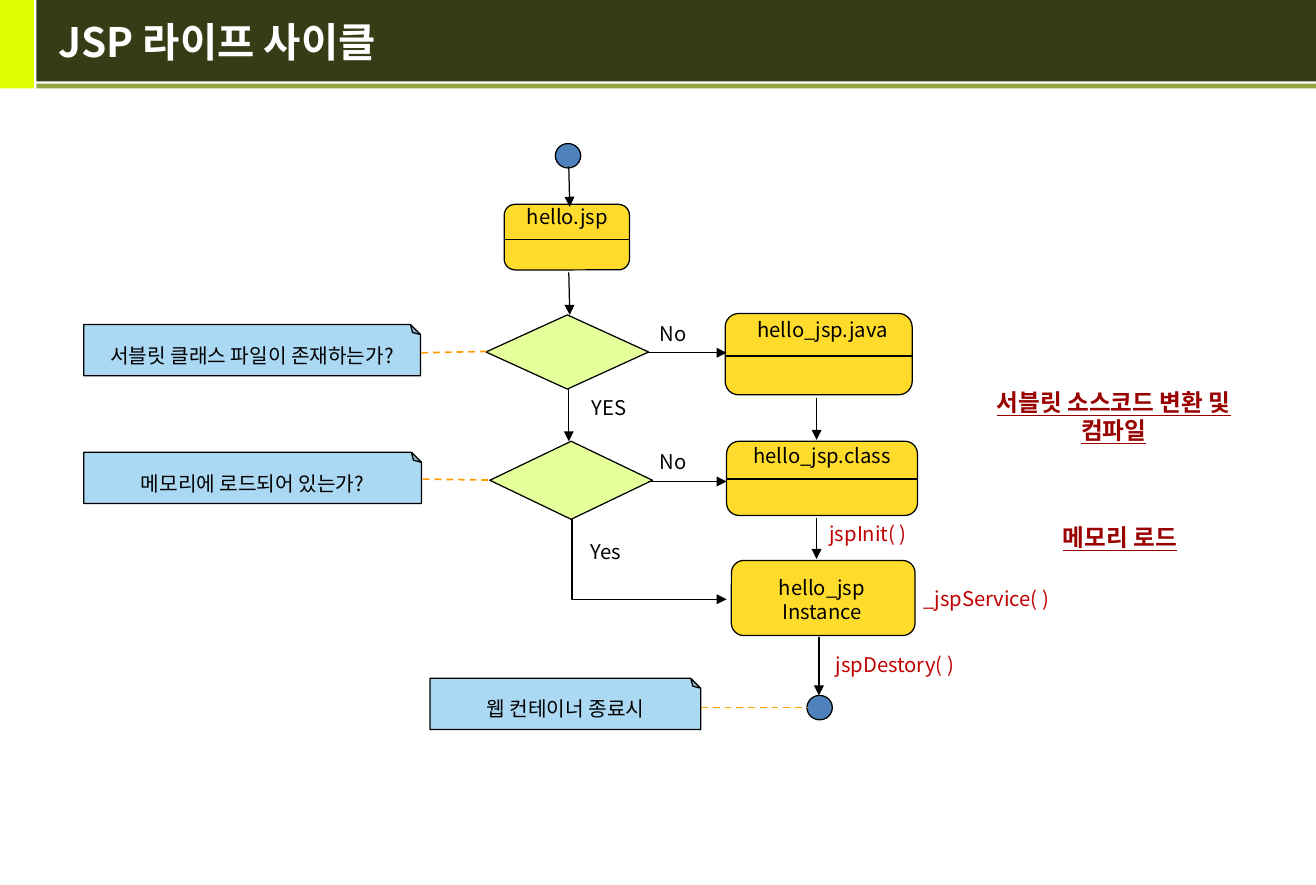
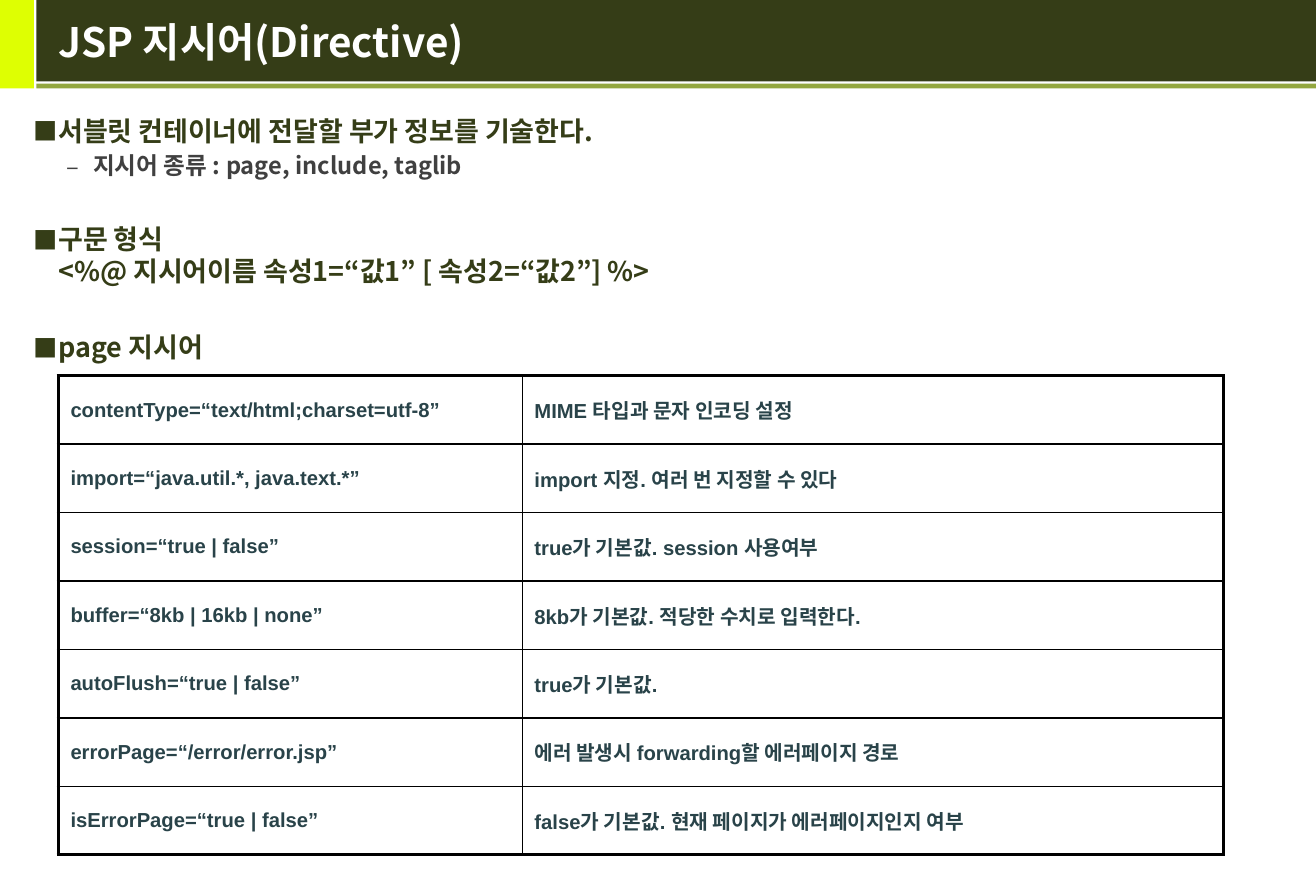
from lxml.etree import SubElement
from pptx import Presentation
from pptx.dml.color import RGBColor
from pptx.enum.dml import MSO_LINE
from pptx.enum.shapes import MSO_CONNECTOR, MSO_SHAPE
from pptx.enum.text import MSO_ANCHOR, PP_ALIGN
from pptx.oxml.ns import qn
from pptx.util import Cm, Pt

SLIDE_WIDTH, SLIDE_HEIGHT = 27.51, 18.49
FONT = "Noto Sans CJK KR"
COLORS = {
    "lime": "DEFF02", "olive": "353D17", "moss": "93A73F", "white": "FFFFFF",
    "black": "000000", "blue": "4F81BD", "sky": "ABD8F3", "green": "E5FF9B",
    "yellow": "FFDC2B", "orange": "FF9900", "red": "C00000",
    "crimson": "990000", "gray": "404040", "slate": "294349",
}
TEXT_STYLES = {
    "title": ("white", {"name": FONT, "size": Pt(24), "bold": True}),
    "label": ("black", {"name": FONT, "size": Pt(12), "bold": False}),
    "method": ("red", {"name": FONT, "size": Pt(12), "bold": False}),
    "phase": ("crimson", {"name": FONT, "size": Pt(14), "bold": True,
                          "underline": True}),
    "heading": ("olive", {"name": FONT, "size": Pt(16), "bold": True}),
    "detail": ("gray", {"name": FONT, "size": Pt(14), "bold": True}),
    "cell": ("slate", {"name": "Arial", "size": Pt(12), "bold": True}),
}
BULLETS = {
    "heading": {"char": "■", "percent": 90, "margin": 0.51, "indent": -0.51},
    "detail": {"char": "–", "percent": 100, "margin": 1.24, "indent": -0.56},
}
BODY_PARAGRAPHS = [
    ("heading", 0, "서블릿 컨테이너에 전달할 부가 정보를 기술한다."),
    ("detail", 2.8, "지시어 종류 : page, include, taglib"),
    ("heading", 25.4,
     "구문 형식\v<%@ 지시어이름 속성1=“값1” [ 속성2=“값2”] %>"),
    ("heading", 25.4, "page 지시어"),
]
PAGE_ATTRIBUTES = [
    ("contentType=“text/html;charset=utf-8”", "MIME 타입과 문자 인코딩 설정"),
    ("import=“java.util.*, java.text.*”", "import 지정. 여러 번 지정할 수 있다"),
    ("session=“true | false”", "true가 기본값. session 사용여부"),
    ("buffer=“8kb | 16kb | none”", "8kb가 기본값. 적당한 수치로 입력한다."),
    ("autoFlush=“true | false”", "true가 기본값."),
    ("errorPage=“/error/error.jsp”", "에러 발생시 forwarding할 에러페이지 경로"),
    ("isErrorPage=“true | false”",
     "false가 기본값. 현재 페이지가 에러페이지인지 여부"),
]


def color(name):
    """Return the named colour."""
    return RGBColor.from_string(COLORS[name])


def set_attributes(target, values):
    """Set every attribute in a dict of format values."""
    for name, value in values.items():
        setattr(target, name, value)


def write(paragraph, text, style, align=PP_ALIGN.LEFT):
    """Write styled text into a paragraph."""
    color_name, values = TEXT_STYLES[style]
    paragraph.text = text
    paragraph.alignment = align
    for run in paragraph.runs:
        set_attributes(run.font, values)
        run.font.color.rgb = color(color_name)
        SubElement(run.font._element, qn("a:ea"), typeface=FONT)


def add_box(slide, kind, left, top, width, height, fill, outlined=True):
    """Add a filled preset shape."""
    shape = slide.shapes.add_shape(kind, Cm(left), Cm(top), Cm(width), Cm(height))
    shape.shadow.inherit = False
    shape.fill.solid()
    shape.fill.fore_color.rgb = color(fill)
    if outlined:
        shape.line.color.rgb = color("black")
        shape.line.width = Pt(0.75)
    else:
        shape.line.fill.background()
    return shape


def add_text(slide, text, left, top, width, height=0.76, style="label",
             align=PP_ALIGN.LEFT, anchor=MSO_ANCHOR.TOP):
    """Add a wrapping text box with one paragraph."""
    frame = slide.shapes.add_textbox(
        Cm(left), Cm(top), Cm(width), Cm(height)).text_frame
    set_attributes(frame, {"word_wrap": True, "vertical_anchor": anchor})
    write(frame.paragraphs[0], text, style, align)


def add_note(slide, text, left, top, width):
    """Add a sticky note whose folded corner is at the top right."""
    note = add_box(slide, MSO_SHAPE.FOLDED_CORNER, left, top, width, 1.07, "sky")
    properties = note._element.spPr
    guides = properties.find(qn("a:prstGeom")).get_or_add_avLst()
    for guide in list(guides):
        guides.remove(guide)
    SubElement(guides, qn("a:gd"), name="adj", fmla="val 19400")
    note.rotation = 180
    properties.xfrm.set("flipH", "1")
    frame = note.text_frame
    set_attributes(frame, {"word_wrap": False, "vertical_anchor": MSO_ANCHOR.MIDDLE})
    frame._txBody.bodyPr.set("rot", "10800000")
    write(frame.paragraphs[0], text, "label", PP_ALIGN.CENTER)


def add_line(slide, start, end, line_color="black", width=0.75, arrow=False,
             dashed=False, kind=MSO_CONNECTOR.STRAIGHT):
    """Add a connector, with an arrowhead or dashes if asked."""
    points = [Cm(value) for value in (*start, *end)]
    connector = slide.shapes.add_connector(kind, *points)
    connector.line.color.rgb = color(line_color)
    connector.line.width = Pt(width)
    if dashed:
        connector.line.dash_style = MSO_LINE.DASH
    if arrow:
        SubElement(connector.line._get_or_add_ln(), qn("a:tailEnd"), type="triangle")
    SubElement(connector._element.spPr, qn("a:effectLst"))
    return connector


def add_down_right_arrow(slide, start, end):
    """Add a one-bend arrow that runs down and then right."""
    center_x, center_y = (start[0] + end[0]) / 2, (start[1] + end[1]) / 2
    half_width, half_height = (end[0] - start[0]) / 2, (end[1] - start[1]) / 2
    connector = add_line(
        slide, (center_x + half_height, center_y - half_width),
        (center_x - half_height, center_y + half_width),
        arrow=True, kind=MSO_CONNECTOR.ELBOW)
    properties = connector._element.spPr
    properties.find(qn("a:xfrm")).set("rot", "16200000")
    properties.find(qn("a:prstGeom")).set("prst", "bentConnector2")


def add_state(slide, left, top, width, height, divider=None):
    """Add a rounded state box, with a divider line at a given height."""
    add_box(slide, MSO_SHAPE.ROUNDED_RECTANGLE, left, top, width, height, "yellow")
    if divider:
        add_line(slide, (left, divider), (left + width, divider))


def add_titled_slide(presentation, title):
    """Add a blank slide with the shared bands and title."""
    slide = presentation.slides.add_slide(presentation.slide_layouts[6])
    for left, top, width, height, fill in [
        (0, 0, 0.71, 1.85, "lime"),
        (0.76, 0, SLIDE_WIDTH - 0.76, 1.7, "olive"),
        (0.76, 1.75, SLIDE_WIDTH - 0.76, 0.1, "moss"),
    ]:
        add_box(slide, MSO_SHAPE.RECTANGLE, left, top, width, height, fill, False)
    add_text(slide, title, 0.97, 0, 26.21, 1.73, "title", anchor=MSO_ANCHOR.MIDDLE)
    return slide


def add_bullet(paragraph, style):
    """Give a paragraph the bullet and hanging indent of its style."""
    bullet = BULLETS[style]
    properties = paragraph._p.get_or_add_pPr()
    properties.set("marL", str(Cm(bullet["margin"])))
    properties.set("indent", str(Cm(bullet["indent"])))
    bullet_color = SubElement(properties, qn("a:buClr"))
    SubElement(bullet_color, qn("a:srgbClr"), val=COLORS[TEXT_STYLES[style][0]])
    SubElement(properties, qn("a:buSzPct"), val=str(bullet["percent"] * 1000))
    SubElement(properties, qn("a:buFont"), typeface=FONT)
    SubElement(properties, qn("a:buChar"), char=bullet["char"])


def add_bullet_list(slide, items, left, top, width, height):
    """Add a text box of bulleted paragraphs."""
    frame = slide.shapes.add_textbox(
        Cm(left), Cm(top), Cm(width), Cm(height)).text_frame
    frame.word_wrap = True
    for index, (style, space, text) in enumerate(items):
        paragraph = frame.add_paragraph() if index else frame.paragraphs[0]
        write(paragraph, text, style)
        paragraph.space_before = Pt(space)
        add_bullet(paragraph, style)


def set_borders(cell, widths):
    """Draw black cell borders, widths in points by side."""
    properties = cell._tc.get_or_add_tcPr()
    for side, width in widths.items():
        line = SubElement(properties, qn(f"a:ln{side}"), w=str(Pt(width)))
        fill = SubElement(line, qn("a:solidFill"))
        SubElement(fill, qn("a:srgbClr"), val=COLORS["black"])


def add_grid(slide, rows, left, top, column_widths, row_height):
    """Add a table with a thick frame and thin inner lines."""
    last_row, last_column = len(rows) - 1, len(column_widths) - 1
    table = slide.shapes.add_table(
        len(rows), len(column_widths), Cm(left), Cm(top),
        Cm(sum(column_widths)), Cm(row_height * len(rows))).table
    set_attributes(table, {"first_row": False, "horz_banding": False})
    for column, width in zip(table.columns, column_widths):
        column.width = Cm(width)
    for row_index, texts in enumerate(rows):
        table.rows[row_index].height = Cm(row_height)
        for column_index, text in enumerate(texts):
            cell = table.cell(row_index, column_index)
            edges = {"L": column_index == 0, "R": column_index == last_column,
                     "T": row_index == 0, "B": row_index == last_row}
            set_borders(cell, {side: 2.25 if outer else 1
                               for side, outer in edges.items()})
            cell.fill.background()
            cell.vertical_anchor = MSO_ANCHOR.MIDDLE
            write(cell.text_frame.paragraphs[0], text, "cell")


def build_life_cycle(presentation):
    """Build the flow chart of the JSP life cycle."""
    slide = add_titled_slide(presentation, "JSP 라이프 사이클")
    for left, top in [(11.61, 3), (16.87, 14.53)]:
        add_box(slide, MSO_SHAPE.OVAL, left, top, 0.53, 0.51, "blue")
    for note in [
        ("메모리에 로드되어 있는가?", 1.75, 9.45, 7.06),
        ("서블릿 클래스 파일이 존재하는가?", 1.75, 6.78, 7.04),
        ("웹 컨테이너 종료시", 8.99, 14.17, 5.66),
    ]:
        add_note(slide, *note)
    for left, top, height in [(10.24, 9.22, 1.63), (10.16, 6.58, 1.55)]:
        add_box(slide, MSO_SHAPE.FLOWCHART_DECISION, left, top, 3.4, height, "green")
    for state in [
        (10.54, 4.27, 2.62, 1.37, 5),
        (15.16, 6.55, 3.91, 1.7, 7.44),
        (15.19, 9.22, 3.99, 1.55, 10.01),
        (15.29, 11.71, 3.84, 1.57),
    ]:
        add_state(slide, *state)
    for start, end in [
        ((11.89, 3.48), (11.91, 4.32)), ((11.89, 5.69), (11.91, 6.58)),
        ((11.89, 8.13), (11.89, 9.22)), ((17.07, 8.31), (17.07, 9.19)),
        ((17.07, 10.82), (17.07, 11.68)), ((17.12, 13.31), (17.12, 14.53)),
        ((13.54, 7.37), (15.19, 7.37)), ((13.54, 10.06), (15.19, 10.06)),
    ]:
        add_line(slide, start, end, arrow=True)
    add_down_right_arrow(slide, (11.96, 10.85), (15.19, 12.52))
    for start, end in [
        ((8.81, 7.37), (10.24, 7.34)), ((8.84, 10.01), (10.24, 10.03)),
        ((14.66, 14.78), (16.87, 14.78)),
    ]:
        add_line(slide, start, end, "orange", 1, dashed=True)
    for text, left, top in [("No", 13.54, 6.58), ("YES", 12.12, 8.13),
                            ("No", 13.54, 9.27), ("Yes", 12.09, 11.15)]:
        add_text(slide, text, left, top, 2.92)
    for text, left, top, width in [
        ("jspInit( )", 17.09, 10.77, 2.62),
        ("_jspService( )", 19.05, 12.12, 3.68),
        ("jspDestory( )", 17.22, 13.51, 3.45),
    ]:
        add_text(slide, text, left, top, width, style="method")
    for text, left, top, width, height, style in [
        ("hello.jsp", 9.47, 4.14, 4.78, 0.76, "label"),
        ("hello_jsp.java", 15.29, 6.5, 3.81, 0.76, "label"),
        ("hello_jsp.class", 15.19, 9.14, 3.99, 0.76, "label"),
        ("hello_jsp\vInstance", 15.19, 11.89, 3.99, 1.27, "label"),
        ("서블릿 소스코드 변환 및 컴파일", 20.02, 7.98, 6.53, 1.45, "phase"),
        ("메모리 로드", 21.08, 10.8, 4.67, 0.86, "phase"),
    ]:
        add_text(slide, text, left, top, width, height, style, PP_ALIGN.CENTER)


def build_directives(presentation):
    """Build the slide on directives and the page attributes."""
    slide = add_titled_slide(presentation, "JSP 지시어(Directive)")
    add_bullet_list(slide, BODY_PARAGRAPHS, 0.46, 2.26, 26.59, 15.8)
    add_grid(slide, PAGE_ATTRIBUTES, 1.22, 7.85, (9.7, 14.65), 1.43)


def main():
    """Build and save the presentation."""
    presentation = Presentation()
    presentation.slide_width = Cm(SLIDE_WIDTH)
    presentation.slide_height = Cm(SLIDE_HEIGHT)
    build_life_cycle(presentation)
    build_directives(presentation)
    presentation.save("out.pptx")


main()
